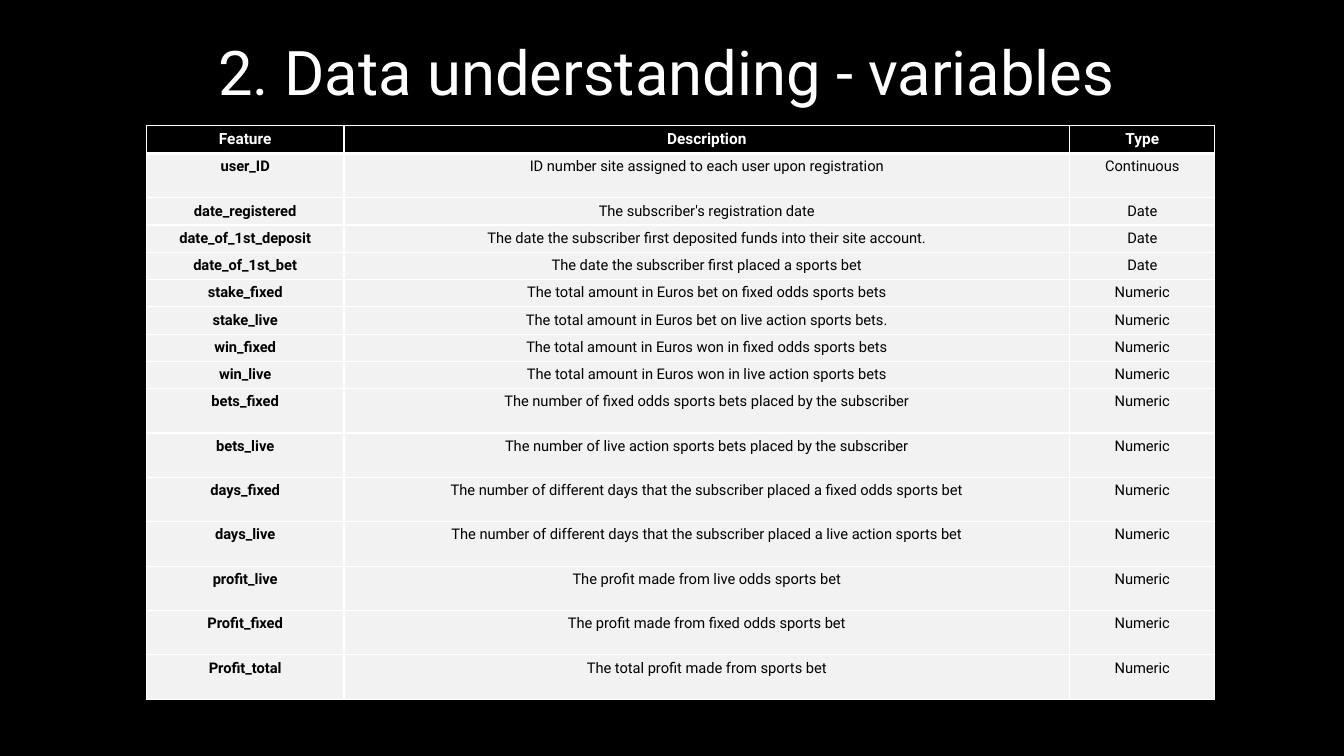
from lxml.etree import SubElement
from pptx import Presentation
from pptx.dml.color import RGBColor
from pptx.enum.text import MSO_ANCHOR, PP_ALIGN
from pptx.oxml.ns import qn
from pptx.util import Pt

BLACK = RGBColor(0x00, 0x00, 0x00)
WHITE = RGBColor(0xFF, 0xFF, 0xFF)
PALE_GREY = RGBColor(0xF2, 0xF2, 0xF2)
FONT = "Roboto"

COLUMN_SHARES = (1.96, 7.2, 1.44)
SHORT_ROW, TALL_ROW = 19.5, 31.7
HEADINGS = ("Feature", "Description", "Type")
# Feature, description, type, row height
VARIABLES = (
    ("user_ID", "ID number site assigned to each user upon registration", "Continuous", TALL_ROW),
    ("date_registered", "The subscriber's registration date", "Date", SHORT_ROW),
    ("date_of_1st_deposit", "The date the subscriber first deposited funds into their site account.",
     "Date", SHORT_ROW),
    ("date_of_1st_bet", "The date the subscriber first placed a sports bet", "Date", SHORT_ROW),
    ("stake_fixed", "The total amount in Euros bet on fixed odds sports bets", "Numeric", SHORT_ROW),
    ("stake_live", "The total amount in Euros bet on live action sports bets.", "Numeric", SHORT_ROW),
    ("win_fixed", "The total amount in Euros won in fixed odds sports bets", "Numeric", SHORT_ROW),
    ("win_live", "The total amount in Euros won in live action sports bets", "Numeric", SHORT_ROW),
    ("bets_fixed", "The number of fixed odds sports bets placed by the subscriber", "Numeric", TALL_ROW),
    ("bets_live", "The number of live action sports bets placed by the subscriber", "Numeric", TALL_ROW),
    ("days_fixed", "The number of different days that the subscriber placed a fixed odds sports bet",
     "Numeric", TALL_ROW),
    ("days_live", "The number of different days that the subscriber placed a live action sports bet",
     "Numeric", TALL_ROW),
    ("profit_live", "The profit made from live odds sports bet", "Numeric", TALL_ROW),
    ("Profit_fixed", "The profit made from fixed odds sports bet", "Numeric", TALL_ROW),
    ("Profit_total", "The total profit made from sports bet", "Numeric", TALL_ROW),
)


def write(frame, text, size, color, bold=False):
    paragraph = frame.paragraphs[0]
    paragraph.alignment = PP_ALIGN.CENTER
    run = paragraph.add_run()
    run.text = text
    run.font.name = FONT
    run.font.size = Pt(size)
    run.font.bold = bold
    run.font.color.rgb = color
    return paragraph


def border_cell(cell, widths):
    """Draw white borders; widths maps each side (L, R, T, B) to points."""
    properties = cell._tc.get_or_add_tcPr()
    for position, (side, width) in enumerate(widths.items()):
        line = SubElement(properties, qn(f"a:ln{side}"), w=str(Pt(width)))
        fill = SubElement(line, qn("a:solidFill"))
        SubElement(fill, qn("a:srgbClr"), val=str(WHITE))
        properties.remove(line)
        properties.insert(position, line)  # borders come before the fill


def add_title(slide, left, top, width, height):
    title = slide.shapes.add_textbox(Pt(left), Pt(top), Pt(width), Pt(height))
    frame = title.text_frame
    frame.word_wrap = True
    frame.vertical_anchor = MSO_ANCHOR.TOP
    write(frame, "2. Data understanding - variables", 44, WHITE).line_spacing = 0.9


def add_variables_table(slide, left, top, width):
    heights = [SHORT_ROW] + [variable[3] for variable in VARIABLES]
    table = slide.shapes.add_table(len(heights), len(HEADINGS), Pt(left), Pt(top),
                                   Pt(width), Pt(sum(heights))).table
    for column, share in zip(table.columns, COLUMN_SHARES):
        column.width = Pt(width * share / sum(COLUMN_SHARES))

    rows = [HEADINGS] + [variable[:3] for variable in VARIABLES]
    for r, (texts, height) in enumerate(zip(rows, heights)):
        table.rows[r].height = Pt(height)
        heading = r == 0
        for c, text in enumerate(texts):
            cell = table.cell(r, c)
            cell.margin_top = cell.margin_bottom = Pt(3.3)
            cell.vertical_anchor = MSO_ANCHOR.TOP
            cell.fill.solid()
            cell.fill.fore_color.rgb = BLACK if heading else PALE_GREY
            write(cell.text_frame, text, 11 if heading else 10.5,
                  WHITE if heading else BLACK, bold=heading or c == 0)
            # A heavier rule runs between the headings and the first variable
            border_cell(cell, {"L": 1, "R": 1, "T": 3 if r == 1 else 1, "B": 3 if heading else 1})


def main():
    presentation = Presentation()
    presentation.slide_width, presentation.slide_height = Pt(960), Pt(540)
    slide = presentation.slides.add_slide(presentation.slide_layouts[6])
    slide.background.fill.solid()
    slide.background.fill.fore_color.rgb = BLACK
    add_title(slide, 116.6, 26.6, 720, 82.8)
    add_variables_table(slide, 104.6, 89.8, 763.2)
    presentation.save("out.pptx")


if __name__ == "__main__":
    main()
